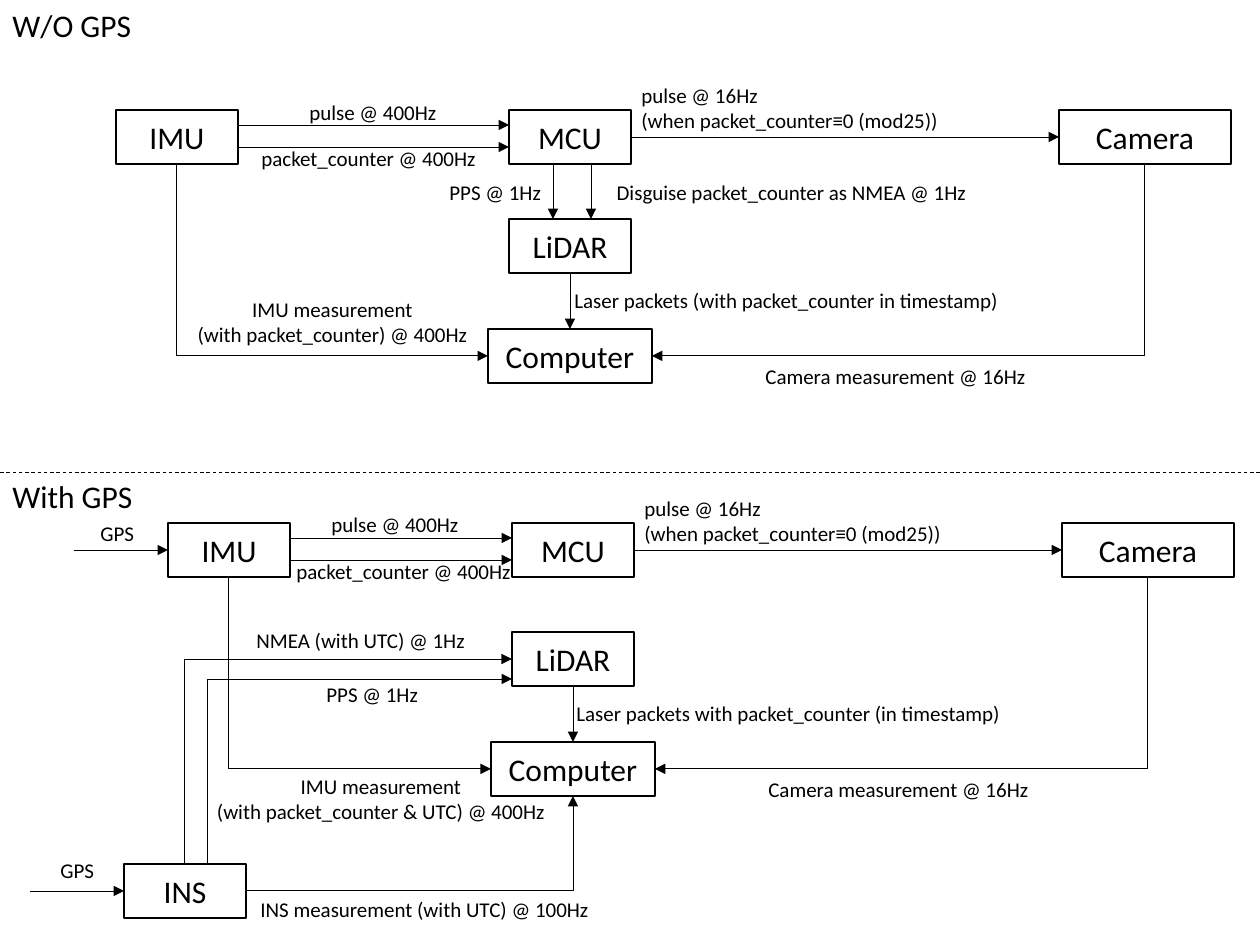
from lxml.etree import SubElement
from pptx import Presentation
from pptx.dml.color import RGBColor
from pptx.enum.dml import MSO_LINE
from pptx.enum.shapes import MSO_CONNECTOR as Route, MSO_SHAPE as Preset
from pptx.enum.text import MSO_ANCHOR as Anchor, MSO_AUTO_SIZE as AutoSize, PP_ALIGN as Align
from pptx.oxml.ns import qn
from pptx.util import Emu, Pt

PX = 914400 / 126
COLORS = {"ink": "000000", "paper": "FFFFFF"}
INK = RGBColor.from_string(COLORS["ink"])
PAPER = RGBColor.from_string(COLORS["paper"])
TOP, LEFT, BOTTOM, RIGHT = range(4)
BOX_W, BOX_H = 122, 54
MID = BOX_H // 2

deck = Presentation()
deck.slide_width, deck.slide_height = Emu(9144000), Emu(6858000)
slide = deck.slides.add_slide(deck.slide_layouts[6])
shapes = slide.shapes


def write(text, x, y, w, h=38, size=12, align=Align.LEFT, boxed=False):
    place = [Emu(round(v * PX)) for v in (x, y, w, h)]
    if boxed:
        holder = shapes.add_shape(Preset.RECTANGLE, *place)
        holder.shadow.inherit = False
        holder.fill.solid()
        holder.fill.fore_color.rgb = PAPER
        holder.line.color.rgb = INK
        holder.line.width = Pt(1)
        holder.text_frame.vertical_anchor = Anchor.MIDDLE
    else:
        holder = shapes.add_textbox(*place)
        holder.text_frame.word_wrap = False
        holder.text_frame.auto_size = AutoSize.SHAPE_TO_FIT_TEXT
    frame = holder.text_frame
    frame.text = text
    for paragraph in frame.paragraphs:
        paragraph.alignment = align
        for run in paragraph.runs:
            run.font.name = "Calibri"
            run.font.size = Pt(size)
            run.font.color.rgb = INK
    return holder


def link(start, end, route=Route.STRAIGHT, arrow="tailEnd", preset=None):
    wire = shapes.add_connector(route, 0, 0, 0, 0)
    if isinstance(start[0], int):
        wire.begin_x, wire.begin_y, wire.end_x, wire.end_y = [
            Emu(round(v * PX)) for v in start + end]
    else:
        wire.begin_connect(*start)
        wire.end_connect(*end)
    wire.line.color.rgb = INK
    wire.line.width = Pt(0.5)
    properties = wire._element.spPr
    if preset:
        properties.find(qn("a:prstGeom")).set("prst", preset)
    if arrow:
        SubElement(properties.find(qn("a:ln")), qn("a:" + arrow), type="triangle")
    SubElement(properties, qn("a:effectLst"))
    return wire


nodes = [
    ("MCU", 509, 110, BOX_W),
    ("Camera", 1059, 110, 172),
    ("LiDAR", 509, 219, BOX_W),
    ("Computer", 488, 329, 164),
]
panels = [
    (0, 0, 116, (297, 93), (249, 139)),
    (3, 413, 168, (319, 505), (284, 552)),
]
systems = []
for dx, dy, imu_x, pulse_at, counter_at in panels:
    system = {name: write(name, x + dx, y + dy, w, BOX_H, 18, Align.CENTER, True)
              for name, x, y, w in nodes}
    system["IMU"] = write("IMU", imu_x, 110 + dy, BOX_W, BOX_H, 18, Align.CENTER, True)
    systems.append(system)

    for y in (125, 147):
        link((imu_x + BOX_W, y + dy), (509 + dx, y + dy))
    link((system["MCU"], RIGHT), (system["Camera"], LEFT))
    link((system["LiDAR"], BOTTOM), (system["Computer"], TOP))
    for sensor, side in (("IMU", LEFT), ("Camera", RIGHT)):
        link((system["Computer"], side), (system[sensor], BOTTOM),
             Route.ELBOW, "headEnd", "bentConnector2")

    write("pulse @ 400Hz", *pulse_at, 154)
    write("packet_counter @ 400Hz", *counter_at, 242)
    write("pulse @ 16Hz\n(when packet_counter≡0 (mod25))", 629 + dx, 76 + dy, 325, 63)
    write("Camera measurement @ 16Hz", 753 + dx, 357 + dy, 289)

for x in (553, 591):
    link((x, 110 + BOX_H), (x, 219))

lower = systems[1]
ins = write("INS", 124, 864, BOX_W, BOX_H, 18, Align.CENTER, True)
link((lower["LiDAR"], LEFT), (ins, TOP), Route.ELBOW, "headEnd", "bentConnector2")
link((ins, RIGHT), (lower["Computer"], BOTTOM), Route.ELBOW, preset="bentConnector2")
pps = link((207, 864), (512, 679), Route.ELBOW)
SubElement(pps._element.spPr.find(qn("a:prstGeom")).find(qn("a:avLst")),
           qn("a:gd"), name="adj1", fmla="val 0")

for x, y, label_x, label_y in ((168, 523, 88, 514), (124, 864, 48, 851)):
    link((x - 94, y + MID), (x, y + MID))
    write("GPS", label_x, label_y, 59)

divider = link((0, 472), (1260, 472), arrow=None)
divider.line.dash_style = MSO_LINE.DASH

for text, x, y, w in (
    ("PPS @ 1Hz", 437, 173, 118),
    ("Laser packets (with packet_counter in timestamp)", 562, 281, 461),
    ("Laser packets with packet_counter (in timestamp)", 564, 694, 454),
    ("NMEA (with UTC) @ 1Hz", 244, 621, 242),
    ("PPS @ 1Hz", 314, 675, 118),
    ("INS measurement (with UTC) @ 100Hz", 248, 890, 358),
):
    write(text, x, y, w)

for text, x, y, w, h in (
    ("Disguise packet_counter as NMEA @ 1Hz", 602, 173, 379, 38),
    ("IMU measurement\n(with packet_counter) @ 400Hz", 183, 290, 299, 63),
    ("IMU measurement\n(with packet_counter & UTC) @ 400Hz", 202, 767, 358, 63),
):
    write(text, x, y, w, h, align=Align.CENTER)

for heading, y in (("W/O GPS", 0), ("With GPS", 471)):
    write(heading, 0, y, 145, 50, 18)

deck.save("out.pptx")
